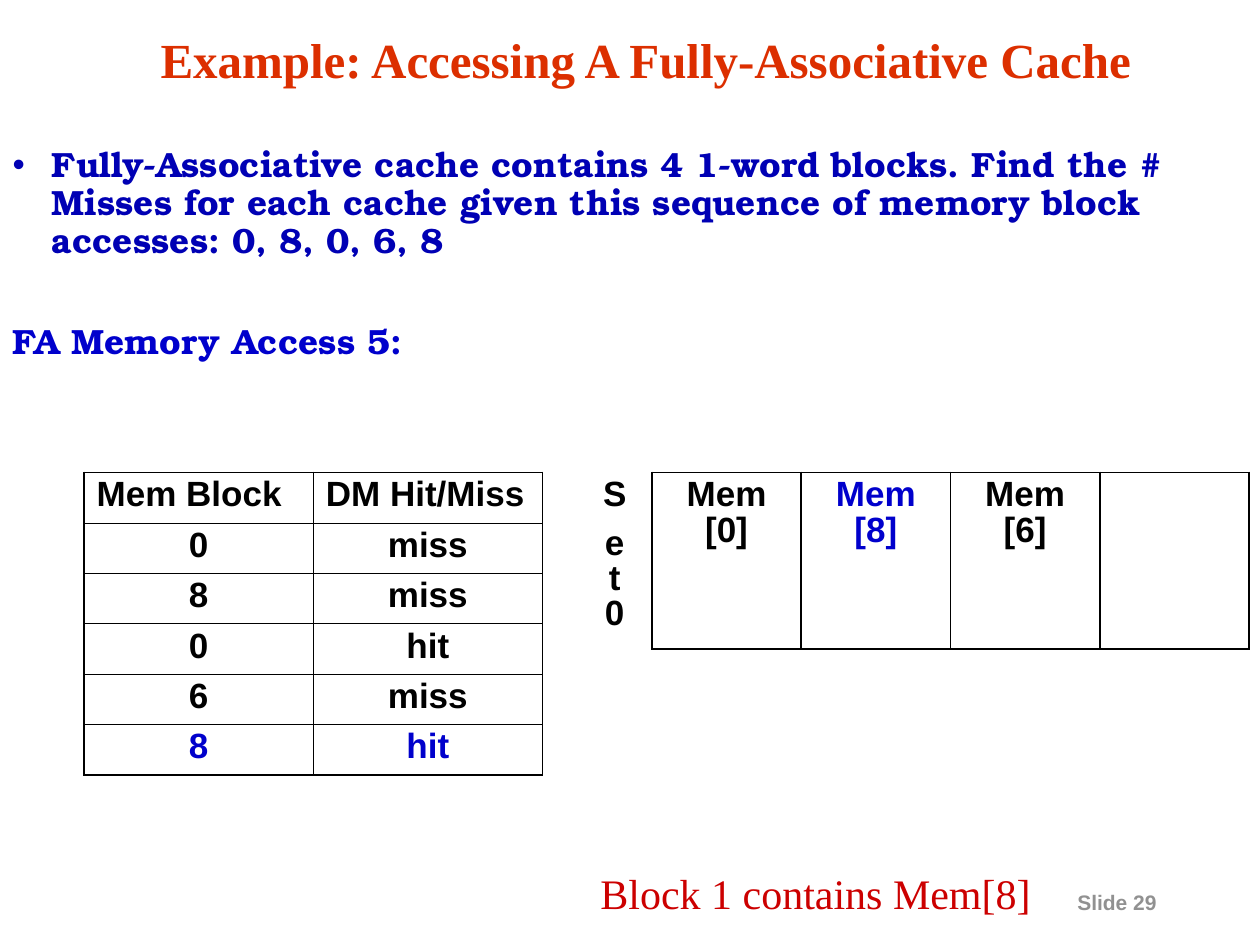
from lxml import etree
from pptx import Presentation
from pptx.dml.color import RGBColor
from pptx.enum.text import MSO_ANCHOR, MSO_AUTO_SIZE, PP_ALIGN
from pptx.oxml.ns import qn
from pptx.util import Pt

CENTER, LEFT = PP_ALIGN.CENTER, PP_ALIGN.LEFT
COLORS = {
    "title": "DC2F00", "body": "0000B4", "accent": "0000CC",
    "black": "000000", "note": "CC0000", "number": "919191",
}
THICK, THIN = 1.08, 0.45


def write(tf, text, first=True, size=20, font="Arial", color="black", bold=True,
          align=LEFT, line=0.9, before=0):
    p = tf.paragraphs[0] if first else tf.add_paragraph()
    p.text = text
    p.alignment, p.line_spacing, p.space_before = align, line, Pt(before)
    for r in p.runs:
        r.font.size, r.font.name, r.font.bold = Pt(size), font, bold
        r.font.color.rgb = RGBColor.from_string(COLORS[color])
    return p


def place(shape, left, top, width, height):
    shape.left, shape.top = Pt(left), Pt(top)
    shape.width, shape.height = Pt(width), Pt(height)
    shape.text_frame.auto_size = MSO_AUTO_SIZE.NONE
    return shape.text_frame


def set_bullet(p, char=None, hang=22.5):
    """Hang the paragraph, with the given bullet or with none."""
    pPr = p._p.get_or_add_pPr()
    pPr.set("marL", str(Pt(hang)))
    pPr.set("indent", str(-Pt(hang)))
    if char:
        etree.SubElement(pPr, qn("a:buFont"), typeface="Arial")
        etree.SubElement(pPr, qn("a:buChar"), char=char)
    else:
        etree.SubElement(pPr, qn("a:buNone"))


def add_label(s, text, left, top, width, height, wrap=True, **fmt):
    tf = s.shapes.add_textbox(Pt(left), Pt(top), Pt(width), Pt(height)).text_frame
    tf.word_wrap = wrap
    write(tf, text, **fmt)


def set_borders(cell, left=0, right=0, top=0, bottom=0):
    """Draw the four cell sides in points; zero leaves a side bare."""
    tcPr = cell._tc.get_or_add_tcPr()
    for tag, width in zip(("lnL", "lnR", "lnT", "lnB"), (left, right, top, bottom)):
        ln = etree.SubElement(tcPr, qn("a:" + tag), w=str(Pt(width)))
        fill = etree.SubElement(ln, qn("a:solidFill" if width else "a:noFill"))
        if width:
            etree.SubElement(fill, qn("a:srgbClr"), val=COLORS["black"])


def add_grid(s, left, top, widths, heights):
    frame = s.shapes.add_table(len(heights), len(widths), Pt(left), Pt(top),
                               Pt(sum(widths)), Pt(sum(heights)))
    table = frame.table
    table.first_row = table.horz_banding = False
    for col, width in zip(table.columns, widths):
        col.width = Pt(width)
    for row, height in zip(table.rows, heights):
        row.height = Pt(height)
    return table


def add_access_table(s, rows):
    table = add_grid(s, 48, 270, [131] * 2, [28.8] * len(rows))
    last = len(rows) - 1
    for i, row in enumerate(rows):
        for j, text in enumerate(row):
            cell = table.cell(i, j)
            write(cell.text_frame, text, align=CENTER if i else LEFT,
                  color="accent" if i == last else "black")
            set_borders(cell, left=THIN if j else THICK, right=THICK if j else THIN,
                        top=THIN if i else THICK,
                        bottom=THICK if i == last else THIN)
            cell.fill.background()


def add_cache_table(s, blocks, current):
    table = add_grid(s, 330, 270, [42.5] + [85.3] * len(blocks), [101])
    label = table.cell(0, 0)
    write(label.text_frame, "S", align=CENTER)
    write(label.text_frame, "e\vt\v0", first=False, align=CENTER, before=7.5)
    set_borders(label, right=THICK)
    label.fill.background()
    for j, text in enumerate(blocks, 1):
        cell = table.cell(0, j)
        write(cell.text_frame, text, align=CENTER,
              color="accent" if text == current else "black")
        set_borders(cell, THICK, THICK, THICK, THICK)
        cell.fill.background()


def main():
    prs = Presentation()
    prs.slide_width, prs.slide_height = Pt(720), Pt(540)
    s = prs.slides.add_slide(prs.slide_layouts[1])

    tf = place(s.shapes.title, 18, 12, 702, 48)
    tf.vertical_anchor = MSO_ANCHOR.MIDDLE
    write(tf, "Example: Accessing A Fully-Associative Cache", size=28,
          font="Times New Roman", color="title", align=CENTER)

    tf = place(s.placeholders[1], 0, 80.5, 690, 189.5)
    serif = "TeX Gyre Bonum"
    set_bullet(write(tf, "Fully-Associative cache contains 4 1-word blocks. Find the # "
                         "Misses for each cache given this sequence of memory block "
                         "accesses: 0, 8, 0, 6, 8", font=serif, color="body"), "•")
    set_bullet(write(tf, "FA Memory Access 5:", first=False, font=serif,
                     color="accent", before=36.6))

    add_cache_table(s, ["Mem [0]", "Mem [8]", "Mem [6]", ""], current="Mem [8]")
    add_access_table(s, [("Mem Block", "DM Hit/Miss"), ("0", "miss"), ("8", "miss"),
                         ("0", "hit"), ("6", "miss"), ("8", "hit")])
    add_label(s, "Block 1 contains Mem[8]", 336, 492, 342, 36, size=24,
              font="Times New Roman", color="note", bold=False, line=1)
    add_label(s, "Slide 29", 608.5, 505, 104, 21.6, wrap=False, size=12,
              color="number", line=1)
    prs.save("out.pptx")


if __name__ == "__main__":
    main()
